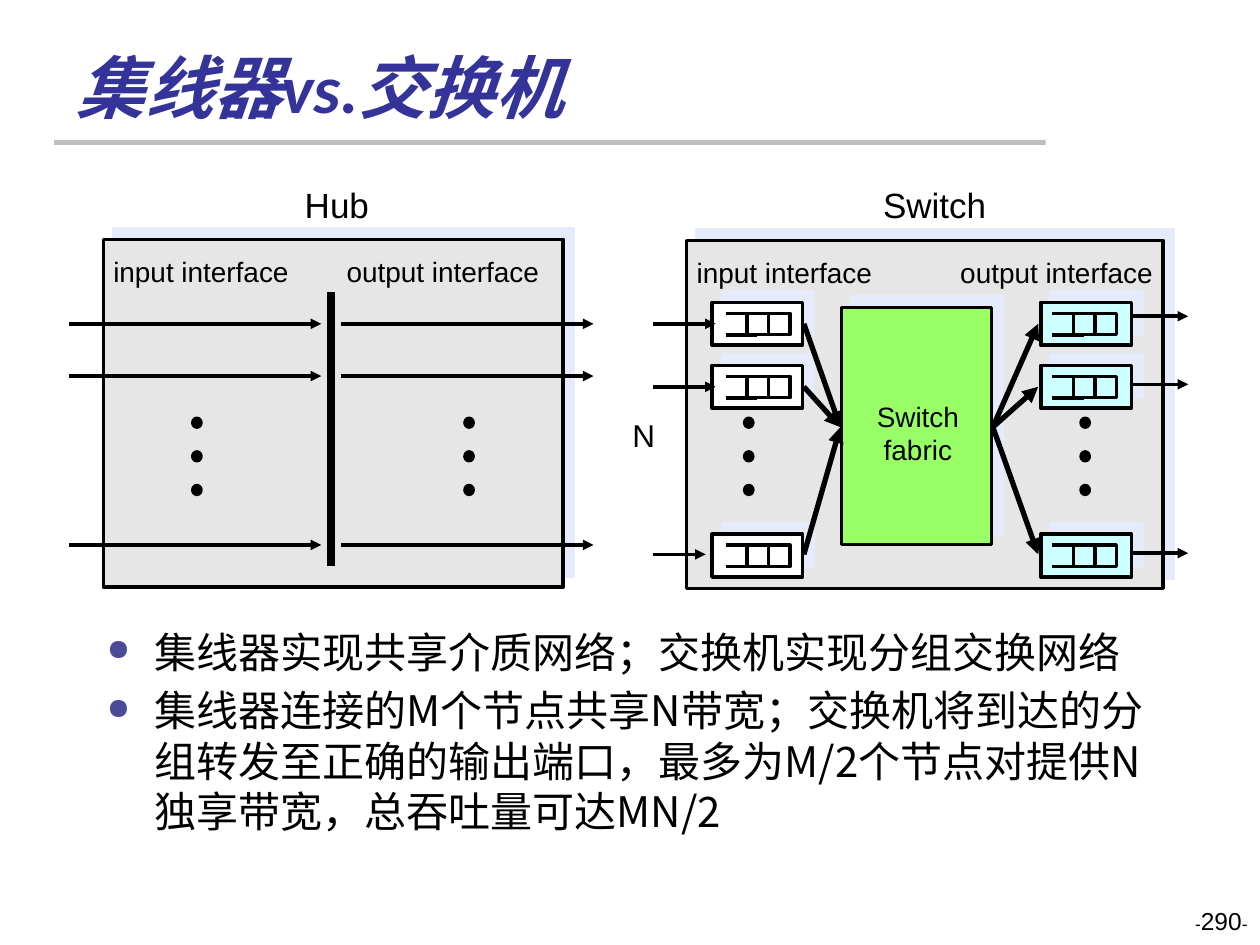
from lxml import etree
from pptx import Presentation
from pptx.dml.color import RGBColor
from pptx.enum.shapes import MSO_CONNECTOR as Link, MSO_SHAPE as Form
from pptx.enum.text import MSO_ANCHOR as Anchor, MSO_AUTO_SIZE as Fit, PP_ALIGN as Align
from pptx.oxml.ns import qn
from pptx.util import Inches, Pt

COLUMNS, ROWS = 100, 75
BLACK, GREY, WHITE = "000000", "E6E6E6", "FFFFFF"
CYAN, GREEN, SHADOW = "CCFFFF", "99FF66", "E5EBFA"
NAVY, BULLET, RULE = "333399", "4A4A97", "BFBFBF"
LATIN, HAN = "Arial", "Noto Sans CJK SC"


def colour(code):
    return RGBColor.from_string(code)


def child(parent, tag, **attributes):
    return etree.SubElement(parent, qn(tag), attributes)


class Painter:
    """Holds the page and its style; lengths are columns and rows of the grid."""

    def __init__(self, deck):
        self.page = deck.slides.add_slide(deck.slide_layouts[5])
        self.column = deck.slide_width / COLUMNS
        self.row = deck.slide_height / ROWS

    def place(self, left, top, width, height):
        return (int(left * self.column), int(top * self.row),
                int(width * self.column), int(height * self.row))

    def style(self, para, size, font=LATIN, ink=BLACK, east=None):
        para.font.size = Pt(size)
        para.font.name = font
        para.font.color.rgb = colour(ink)
        if east:
            child(para._p.pPr.find(qn("a:defRPr")), "a:ea", typeface=east)

    def title(self, text, at):
        box = self.page.shapes.title
        box.left, box.top, box.width, box.height = self.place(*at)
        frame = box.text_frame
        frame.text = text
        frame.vertical_anchor = Anchor.BOTTOM
        frame.auto_size = Fit.NONE
        para = frame.paragraphs[0]
        para.alignment = Align.LEFT
        para.font.bold = para.font.italic = True
        self.style(para, 39, "Calibri", NAVY, HAN)

    def text(self, lines, at, size, align=Align.LEFT):
        frame = self.page.shapes.add_textbox(*self.place(*at)).text_frame
        frame.word_wrap = False
        frame.auto_size = Fit.SHAPE_TO_FIT_TEXT
        frame.text = lines
        for para in frame.paragraphs:
            para.alignment = align
            self.style(para, size)

    def bullets(self, items, at, size):
        frame = self.page.shapes.add_textbox(*self.place(*at)).text_frame
        frame.word_wrap = True
        for index, item in enumerate(items):
            para = frame.add_paragraph() if index else frame.paragraphs[0]
            para.text = item
            para.space_before = Pt(0.2 * size if index else 0)
            layout = para._p.get_or_add_pPr()
            layout.set("marL", str(Inches(0.38)))
            layout.set("indent", str(-Inches(0.38)))
            child(child(layout, "a:buClr"), "a:srgbClr", val=BULLET)
            child(layout, "a:buSzPct", val="70000")
            child(layout, "a:buChar", char="●")
            self.style(para, size, HAN, east=HAN)

    def page_number(self, number, at):
        frame = self.page.shapes.add_textbox(*self.place(*at)).text_frame
        frame.word_wrap = True
        para = frame.paragraphs[0]
        para.alignment = Align.RIGHT
        for part, size in (("-", 10), (number, 14), ("-", 10)):
            span = para.add_run()
            span.text = part
            span.font.size = Pt(size)
        para.font.name = LATIN
        para.font.color.rgb = colour(BLACK)

    def shape(self, at, fill=None, form=Form.RECTANGLE, edge=BLACK, shadow=False):
        item = self.page.shapes.add_shape(form, *self.place(*at))
        item.shadow.inherit = False
        if fill:
            item.fill.solid()
            item.fill.fore_color.rgb = colour(fill)
        else:
            item.fill.background()
        if edge:
            item.line.color.rgb = colour(edge)
            item.line.width = Pt(2)
        else:
            item.line.fill.background()
        if shadow:
            cast = child(item._element.spPr.find(qn("a:effectLst")), "a:outerShdw",
                         dist=str(Pt(8.5)), dir=str(315 * 60000), algn="ctr",
                         rotWithShape="0")
            child(cast, "a:srgbClr", val=SHADOW)

    def line(self, start, end, width=2, arrow=False):
        item = self.page.shapes.add_connector(
            Link.STRAIGHT, *self.place(*start, *end))
        item.line.color.rgb = colour(BLACK)
        item.line.width = Pt(width)
        if arrow:
            child(item.line._get_or_add_ln(), "a:tailEnd", type="triangle")
        child(item._element.spPr, "a:effectLst")

    def dots(self, left):
        for step in range(3):
            self.shape((left, 33.2 + 2.67 * step, 0.65, 0.7), BLACK, Form.OVAL)

    def queue(self, left, top):
        for slot in range(2):
            self.shape((left + 1.7 + 1.7 * slot, top, 1.7, 1.7))
        for edge in (top, top + 1.7):
            self.line((left, edge), (left + 2.5, edge))

    def interfaces(self, input_left, output_left, top):
        self.text("input interface", (input_left, top, 15.9, 3.6), 16, Align.CENTER)
        self.text("output interface", (output_left, top, 17.3, 3.6), 16, Align.CENTER)


def draw_hub(painter):
    painter.shape((8.2, 19, 36.5, 27.6), GREY, shadow=True)
    painter.interfaces(8, 26.5, 19.7)
    painter.line((26.3, 23.2), (26.3, 44.9), 4.5)
    for row in (25.7, 29.85, 43.25):
        for left, right in ((5.5, 25.5), (27.1, 47.1)):
            painter.line((left, row), (right, row), arrow=True)
    for left in (15.3, 36.9):
        painter.dots(left)
    painter.text("Hub", (23.2, 14.1, 7.1, 4.3), 20)


def draw_switch(painter):
    painter.shape((54.5, 19.1, 37.8, 27.6), GREY, shadow=True)
    # Ports: top of the box, input arrow (row, end), output arrow row
    ports = ((24, 25.7, 56.8, 25.1), (29, 30.7, 56.8, 30.5), (42.4, 44, 56, 43.9))
    for top, *_ in ports:
        painter.shape((56.5, top, 7.2, 3.4), WHITE, shadow=True)
        painter.shape((82.6, top, 7.2, 3.4), CYAN, shadow=True)
    # Fabric, with its links to every port
    painter.shape((66.8, 24.4, 11.9, 18.8), GREEN, shadow=True)
    painter.text("Switch\nfabric", (68.6, 31.2, 8.5, 6.3), 16, Align.CENTER)
    for top, row, end, output_row in ports:
        painter.line((51.8, row), (end, row), arrow=True)
        painter.line((89.7, output_row), (94.3, output_row), arrow=True)
        painter.line((63.8, row), (66.7, 33.9), 3, arrow=True)
        painter.line((78.8, 33.9), (82.4, row), 3, arrow=True)
        for left in (57.6, 83.5):
            painter.queue(left, top + 0.87)
    painter.interfaces(54.3, 75.2, 19.8)
    for left in (59.1, 85.8):
        painter.dots(left)
    painter.text("Switch", (69.1, 14.1, 10.2, 4.3), 20)
    painter.text("N", (49.2, 32.5, 3.4, 3.3), 18)


def main():
    deck = Presentation()
    deck.slide_width, deck.slide_height = Inches(10), Inches(7.5)
    painter = Painter(deck)
    # Heading
    painter.shape((4.3, 11.1, 78.7, 0.4), RULE, edge=None)
    painter.title("集线器vs.交换机", (5.1, 2.8, 82.5, 7.8))
    # Diagrams
    draw_hub(painter)
    draw_switch(painter)
    # Explanation and page number
    painter.bullets((
        "集线器实现共享介质网络；交换机实现分组交换网络",
        "集线器连接的M个节点共享N带宽；交换机将到达的分组转发至正确的输出端口，"
        "最多为M/2个节点对提供N独享带宽，总吞吐量可达MN/2",
    ), (7.5, 49.2, 85, 19.2), 24)
    painter.page_number("290", (76.7, 71.4, 23.3, 5))
    deck.save("out.pptx")


if __name__ == "__main__":
    main()
